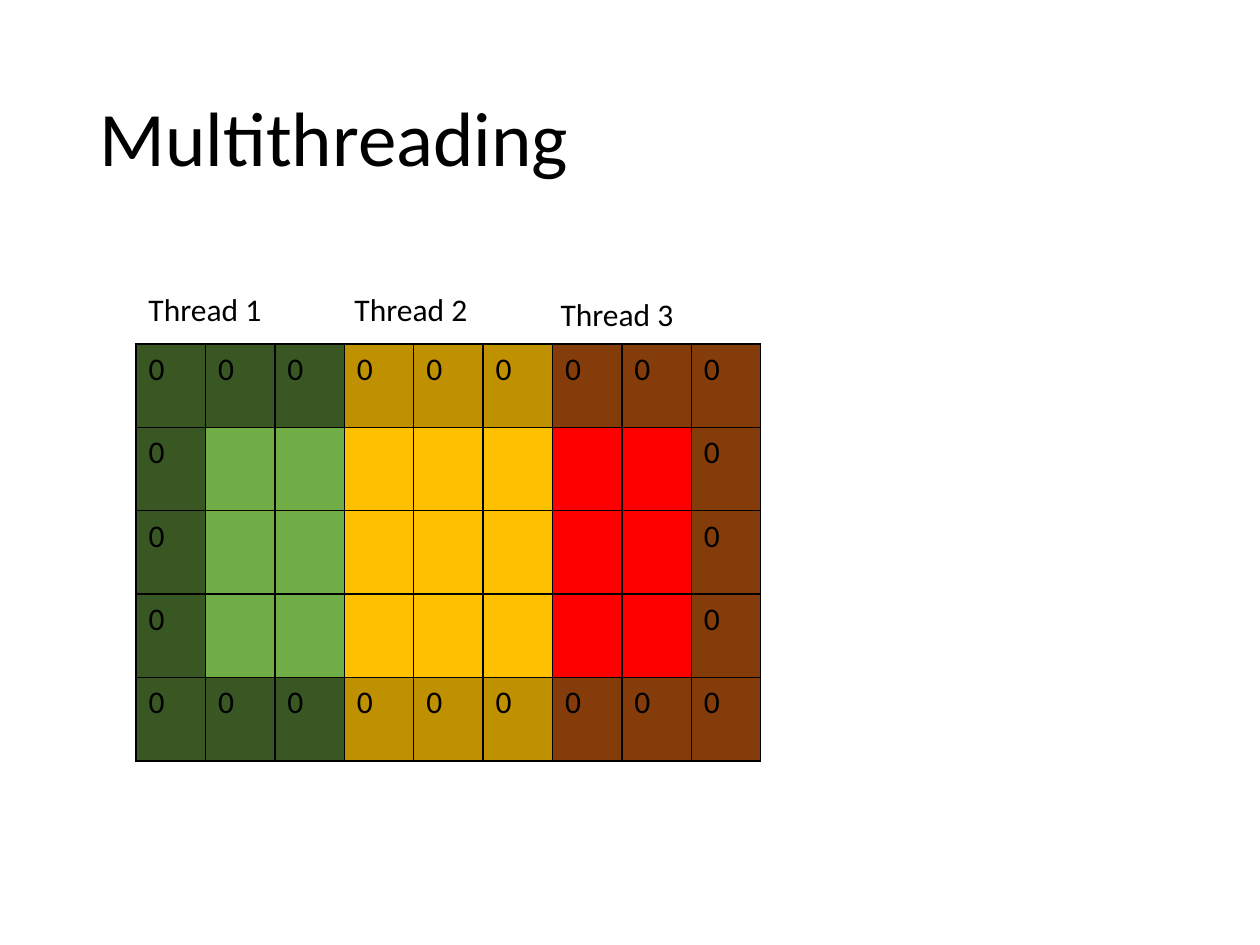
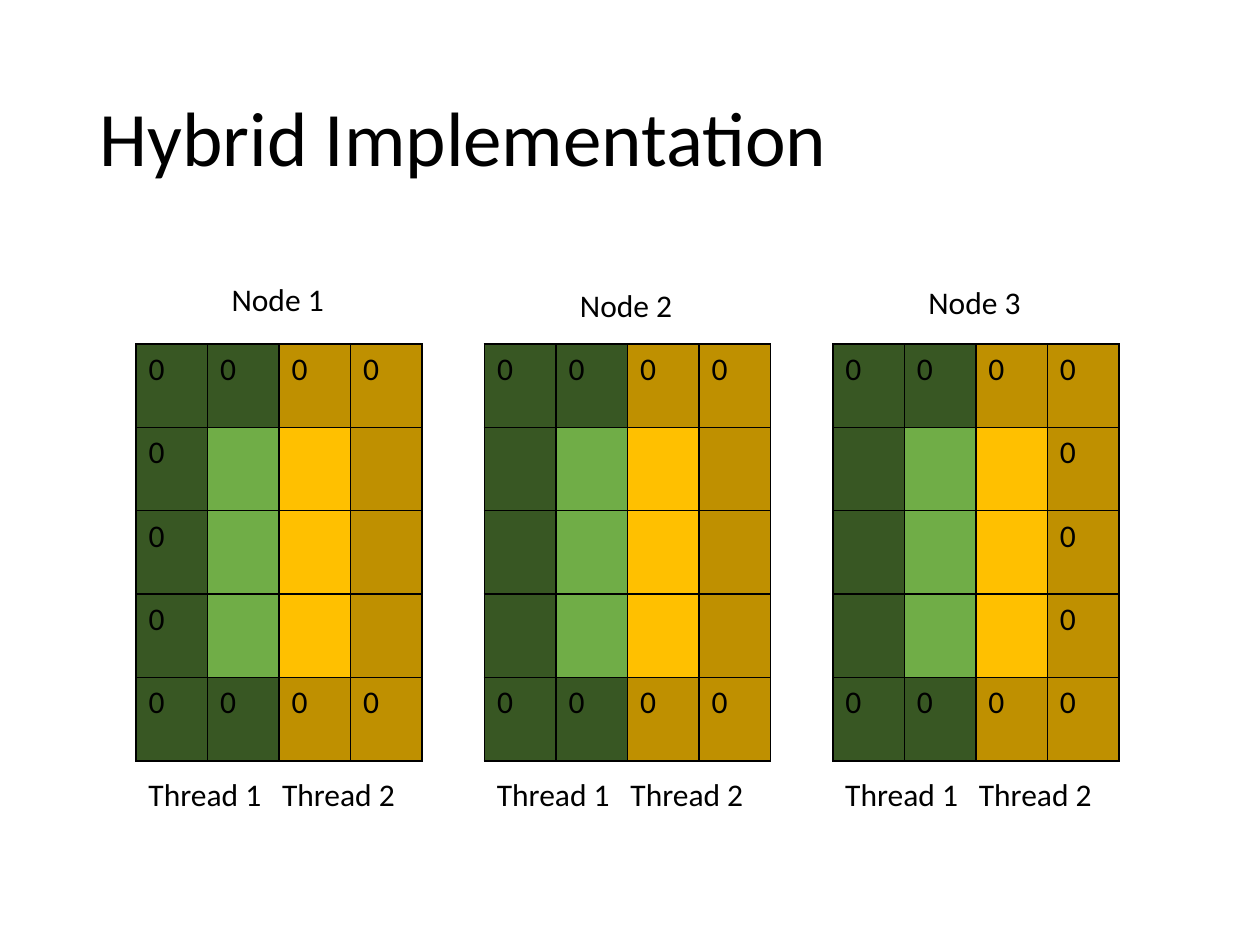
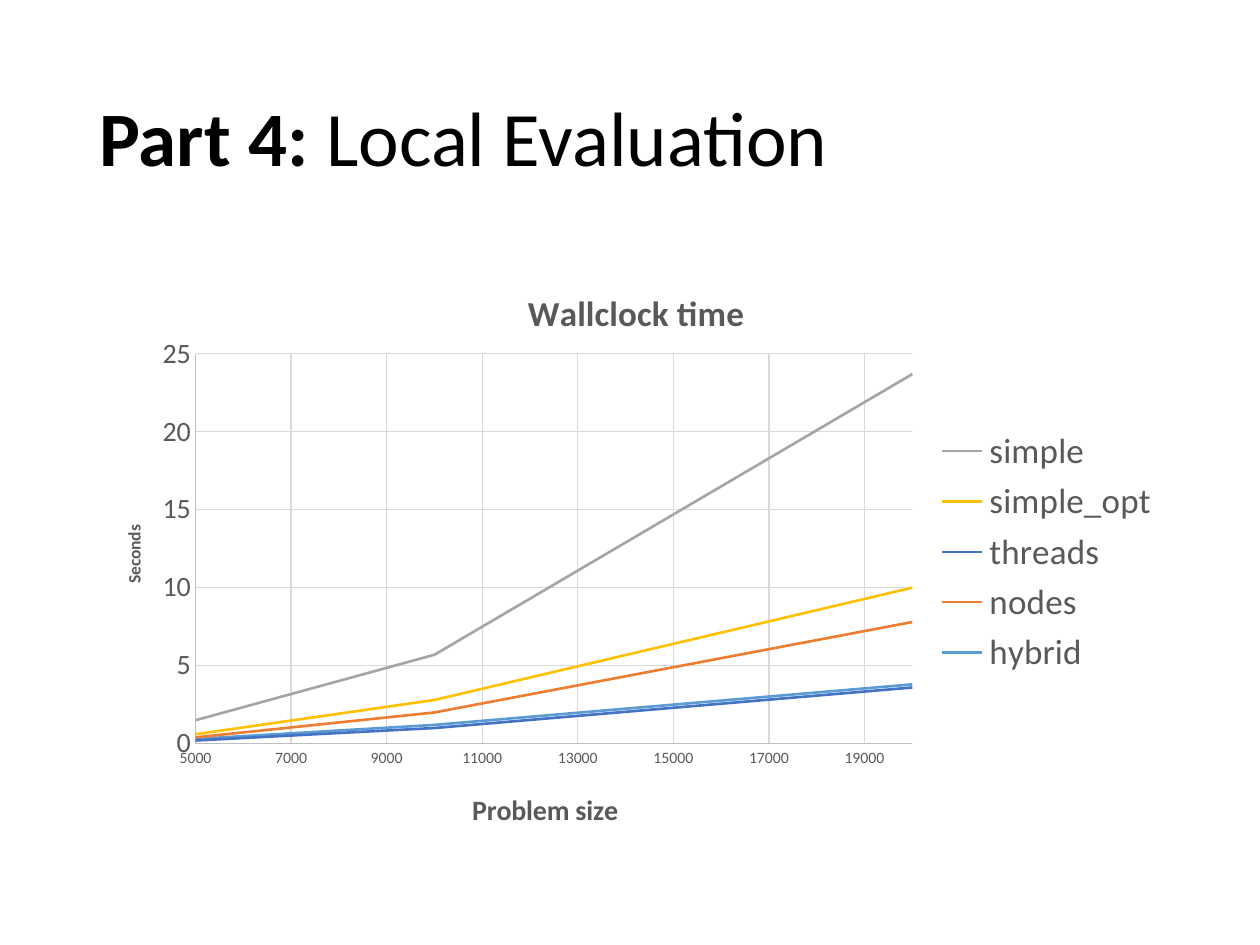
from lxml.etree import SubElement
from pptx import Presentation
from pptx.chart.data import XyChartData
from pptx.dml.color import RGBColor
from pptx.enum.chart import XL_CHART_TYPE as ChartType, XL_LEGEND_POSITION as LegendPosition
from pptx.enum.chart import XL_TICK_MARK as TickMark
from pptx.enum.text import MSO_ANCHOR as Anchor, MSO_AUTO_SIZE as AutoSize
from pptx.oxml import parse_xml
from pptx.oxml.ns import nsdecls, qn
from pptx.util import Inches, Pt

FONT = "Calibri"
BLACK, GRAY, AXIS_GRAY, GRID_GRAY = "000000", "595959", "BFBFBF", "D9D9D9"
GREEN = ("385723", "70AD47")
GOLD = ("BF9000", "FFC000")
RED = ("843C0B", "FF0000")
ROWS, GRID_TOP, GRID_HEIGHT = 5, 2.73, 3.31
SIZES = (5000, 10000, 20000)
TIMES = {
    "simple": ("A5A5A5", (1.5, 5.7, 23.7)),
    "simple_opt": ("FFC000", (0.6, 2.8, 10)),
    "threads": ("4472C4", (0.2, 1, 3.6)),
    "nodes": ("ED7D31", (0.4, 2, 7.8)),
    "hybrid": ("5B9BD5", (0.3, 1.2, 3.8)),
}


def color(value):
    return RGBColor.from_string(value)


def style_font(font, size, value=BLACK):
    font.name, font.size = FONT, Pt(size)
    font.color.rgb = color(value)


def style_line(line, value, width):
    line.color.rgb = color(value)
    line.width = Pt(width)


def add_page(deck, title, lead=""):
    page = deck.slides.add_slide(deck.slide_layouts[6])
    box = page.shapes.add_textbox(Inches(0.69), Inches(0.4), Inches(8.62), Inches(1.45))
    frame = box.text_frame
    frame.word_wrap = True
    frame.vertical_anchor = Anchor.MIDDLE
    para = frame.paragraphs[0]
    para.line_spacing = 0.9
    style_font(para.font, 44)
    if lead:
        span = para.add_run()
        span.text = lead
        span.font.bold = True
    para.add_run().text = title
    return page


def add_label(page, text, left, top, width=1.11):
    box = page.shapes.add_textbox(Inches(left), Inches(top), Inches(width), Inches(0.4))
    frame = box.text_frame
    frame.word_wrap = False
    frame.auto_size = AutoSize.SHAPE_TO_FIT_TEXT
    frame.text = text
    style_font(frame.paragraphs[0].font, 18)


def add_borders(cell):
    properties = cell._tc.get_or_add_tcPr()
    for side in ("lnL", "lnR", "lnT", "lnB"):
        line = SubElement(properties, qn(f"a:{side}"), w=str(Pt(1)))
        fill = SubElement(line, qn("a:solidFill"))
        SubElement(fill, qn("a:srgbClr"), val=BLACK)


def add_grid(page, left, width, columns, zero_columns):
    table = page.shapes.add_table(
        ROWS, len(columns), Inches(left), Inches(GRID_TOP), Inches(width), Inches(GRID_HEIGHT)
    ).table
    table.first_row = table.horz_banding = False
    for row in range(ROWS):
        end_row = row in (0, ROWS - 1)
        for column, (dark, bright) in enumerate(columns):
            on_edge = end_row or column in (0, len(columns) - 1)
            cell = table.cell(row, column)
            add_borders(cell)
            cell.fill.solid()
            cell.fill.fore_color.rgb = color(dark if on_edge else bright)
            if end_row or column in zero_columns:
                cell.text = "0"
            style_font(cell.text_frame.paragraphs[0].font, 18)


def place(element, **fractions):
    old = element.find(qn("c:layout"))
    if old is not None:
        element.remove(old)
    layout = parse_xml(f"<c:layout {nsdecls('c')}><c:manualLayout/></c:layout>")
    if "w" in fractions:
        SubElement(layout[0], qn("c:layoutTarget"), val="inner")
    for mode in ("xMode", "yMode"):
        SubElement(layout[0], qn(f"c:{mode}"), val="edge")
    for name, value in fractions.items():
        SubElement(layout[0], qn(f"c:{name}"), val=str(value))
    element.insert(0 if element.find(qn("c:tx")) is None else 1, layout)


def set_title(title, text, size, x, y):
    title.text_frame.text = text
    style_font(title.text_frame.paragraphs[0].font, size, GRAY)
    place(title._element, x=x, y=y)


def style_axis(axis, size, low, high, step):
    axis.minimum_scale, axis.maximum_scale, axis.major_unit = low, high, step
    axis.major_tick_mark = axis.minor_tick_mark = TickMark.NONE
    axis.has_major_gridlines = True
    style_font(axis.tick_labels.font, size, GRAY)
    style_line(axis.format.line, AXIS_GRAY, 0.75)
    style_line(axis.major_gridlines.format.line, GRID_GRAY, 0.75)


def add_time_chart(page):
    data = XyChartData()
    for name, (_, seconds) in TIMES.items():
        series = data.add_series(name)
        for point in zip(SIZES, seconds):
            series.add_data_point(*point)
    chart = page.shapes.add_chart(
        ChartType.XY_SCATTER_LINES_NO_MARKERS,
        Inches(0.69), Inches(2), Inches(8.62), Inches(4.76), data,
    ).chart
    style_font(chart.font, 10)
    chart.has_title = True
    set_title(chart.chart_title, "Wallclock time", 20, 0.4, 0.05)
    chart.plots[0].vary_by_categories = False
    for series, (value, _) in zip(chart.plots[0].series, TIMES.values()):
        series.smooth = False
        style_line(series.format.line, value, 1.5)

    style_axis(chart.category_axis, 9, 5000, 20000, 2000)
    style_axis(chart.value_axis, 16, 0, 25, 5)
    set_title(chart.category_axis.axis_title, "Problem size", 16, 0.35, 0.89)
    seconds_title = chart.value_axis.axis_title
    set_title(seconds_title, "Seconds", 10, 0.03, 0.45)
    seconds_title.text_frame._txBody.bodyPr.set("rot", "-5400000")
    place(chart._chartSpace.chart.plotArea, x=0.1, y=0.17, w=0.66, h=0.65)

    chart.has_legend = True
    chart.legend.position = LegendPosition.RIGHT
    chart.legend.include_in_layout = False
    style_font(chart.legend.font, 20, GRAY)


def add_threads_page(deck):
    page = add_page(deck, "Multithreading")
    add_grid(page, 1.08, 4.96, [GREEN] * 3 + [GOLD] * 3 + [RED] * 3, (0, 8))
    for index, top in enumerate((2.25, 2.25, 2.29)):
        add_label(page, f"Thread {index + 1}", 1.08 + index * 1.635, top)


def add_hybrid_page(deck):
    page = add_page(deck, "Hybrid Implementation")
    nodes = ((2.17, (0,)), (2.22, ()), (2.2, (3,)))
    for index, (label_top, zero_columns) in enumerate(nodes):
        left = 1.08 + index * 2.765
        add_grid(page, left, 2.27, [GREEN] * 2 + [GOLD] * 2, zero_columns)
        add_label(page, f"Node {index + 1}", left + 0.66, label_top, 0.94)
        for thread in range(2):
            add_label(page, f"Thread {thread + 1}", left + thread * 1.06, 6.1)


def main():
    deck = Presentation()
    deck.slide_width, deck.slide_height = Inches(10), Inches(7.5)
    add_threads_page(deck)
    add_hybrid_page(deck)
    add_time_chart(add_page(deck, "Local Evaluation", "Part 4: "))
    deck.save("out.pptx")


if __name__ == "__main__":
    main()
